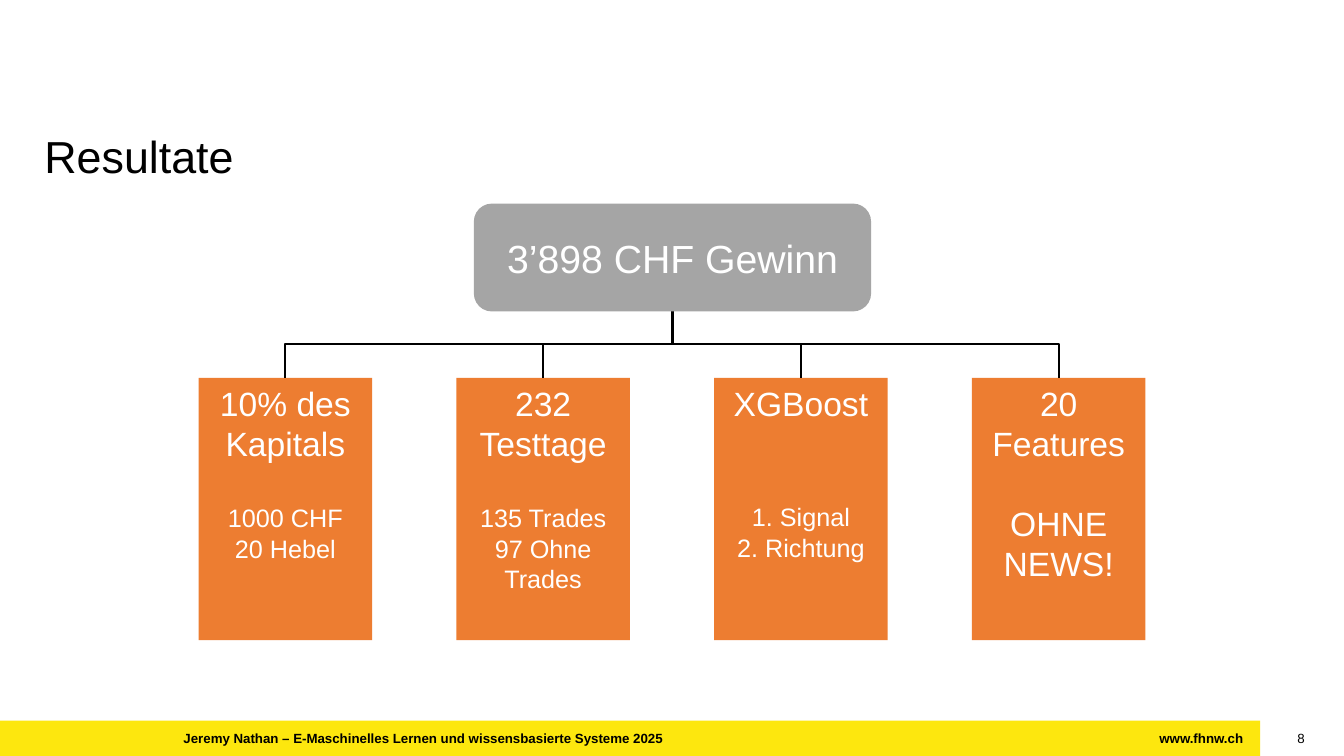
from dataclasses import dataclass

import pptx
import pptx.dml.color
import pptx.enum.shapes
import pptx.enum.text
import pptx.oxml
import pptx.oxml.ns
import pptx.util
from pptx.util import Inches

ALIGN = pptx.enum.text.PP_ALIGN
ANCHOR = pptx.enum.text.MSO_ANCHOR
SHAPE = pptx.enum.shapes.MSO_SHAPE

BLACK, WHITE = "000000", "FFFFFF"
YELLOW, ORANGE, GRAY = "FDE70E", "ED7D31", "A5A5A5"

CARD_TOP, CARD_WIDTH, CARD_HEIGHT = 3.75, 1.72, 2.6
FIRST_CARD_LEFT, LAST_CARD_LEFT = 1.97, 9.64
ROOT_CENTER, ROOT_BOTTOM = 6.67, 3.08


@dataclass
class Line:
    text: str
    size: float
    color: str = WHITE
    bold: bool = False
    align: ALIGN = ALIGN.CENTER
    space_before: float = 0


@dataclass
class Box:
    left: float
    top: float
    width: float
    height: float


@dataclass
class Label:
    box: Box
    line: Line


@dataclass
class Card:
    heading: str
    details: list[str]
    detail_size: float = 18
    gap: float = 28


LABELS = [
    Label(Box(0.44, 1.28, 12.04, 0.54), Line("Resultate", 32, BLACK, align=ALIGN.LEFT)),
    Label(
        Box(1.82, 7.24, 8.86, 0.16),
        Line(
            "Jeremy Nathan – E-Maschinelles Lernen und wissensbasierte Systeme 2025",
            9.5, BLACK, True, ALIGN.LEFT,
        ),
    ),
    Label(Box(10.68, 7.24, 1.65, 0.16), Line("www.fhnw.ch", 9.5, BLACK, True, ALIGN.RIGHT)),
    Label(Box(12.53, 7.24, 0.41, 0.16), Line("8", 9.5, BLACK, align=ALIGN.RIGHT)),
]

CARDS = [
    Card("10% des Kapitals", ["1000 CHF", "20 Hebel"]),
    Card("232 Testtage", ["135 Trades", "97 Ohne Trades"]),
    Card("XGBoost", ["1. Signal", "2. Richtung"], gap=56),
    Card("20 Features", ["OHNE\vNEWS!"], detail_size=24),
]


def rgb(color: str) -> pptx.dml.color.RGBColor:
    return pptx.dml.color.RGBColor.from_string(color)


def apply(target: object, values: dict) -> None:
    for name, value in values.items():
        setattr(target, name, value)


def write_lines(text_frame, lines: list[Line]) -> None:
    text_frame.word_wrap = True
    for index, line in enumerate(lines):
        paragraph = text_frame.add_paragraph() if index else text_frame.paragraphs[0]
        paragraph.text = line.text
        paragraph.alignment = line.align
        if line.space_before:
            paragraph.space_before = pptx.util.Pt(line.space_before)
        for run in paragraph.runs:
            apply(run.font, {"name": "Arial", "size": pptx.util.Pt(line.size), "bold": line.bold})
            run.font.color.rgb = rgb(line.color)


def add_label(slide, label: Label) -> None:
    box = label.box
    shape = slide.shapes.add_textbox(
        Inches(box.left), Inches(box.top), Inches(box.width), Inches(box.height)
    )
    margins = ("margin_left", "margin_top", "margin_right", "margin_bottom")
    apply(shape.text_frame, dict.fromkeys(margins, 0))
    write_lines(shape.text_frame, [label.line])


def add_block(slide, kind: SHAPE, box: Box, fill: str, lines: list[Line], anchor=ANCHOR.TOP) -> None:
    shape = slide.shapes.add_shape(
        kind, Inches(box.left), Inches(box.top), Inches(box.width), Inches(box.height)
    )
    shape.shadow.inherit = False
    shape.fill.solid()
    shape.fill.fore_color.rgb = rgb(fill)
    shape.line.fill.background()
    shape.text_frame.vertical_anchor = anchor
    write_lines(shape.text_frame, lines)


def add_branch(slide, card_center: float) -> None:
    rise = CARD_TOP - ROOT_BOTTOM
    run = abs(ROOT_CENTER - card_center)
    middle_x = (card_center + ROOT_CENTER) / 2
    middle_y = (CARD_TOP + ROOT_BOTTOM) / 2
    on_left = card_center < ROOT_CENTER
    half_width = rise / 2 if on_left else -rise / 2
    connector = slide.shapes.add_connector(
        pptx.enum.shapes.MSO_CONNECTOR.ELBOW,
        Inches(middle_x + half_width), Inches(middle_y + run / 2),
        Inches(middle_x - half_width), Inches(middle_y - run / 2),
    )
    connector.line.color.rgb = rgb(BLACK)
    connector.line.width = pptx.util.Pt(1.5)
    properties = connector._element.spPr
    properties.xfrm.set("rot", str((90 if on_left else 270) * 60000))
    properties.append(pptx.oxml.parse_xml(f"<a:effectLst {pptx.oxml.ns.nsdecls('a')}/>"))


def add_card(slide, card: Card, left: float) -> None:
    lines = [Line(card.heading, 24)]
    for index, detail in enumerate(card.details):
        lines.append(Line(detail, card.detail_size, space_before=0 if index else card.gap))
    add_block(slide, SHAPE.RECTANGLE, Box(left, CARD_TOP, CARD_WIDTH, CARD_HEIGHT), ORANGE, lines)


def main() -> None:
    presentation = pptx.Presentation()
    apply(presentation, {"slide_width": Inches(13.33), "slide_height": Inches(7.5)})
    slide = presentation.slides.add_slide(presentation.slide_layouts[6])

    add_block(slide, SHAPE.RECTANGLE, Box(0, 7.15, 12.5, 0.35), YELLOW, [])
    for label in LABELS:
        add_label(slide, label)

    pitch = (LAST_CARD_LEFT - FIRST_CARD_LEFT) / (len(CARDS) - 1)
    for index, card in enumerate(CARDS):
        left = FIRST_CARD_LEFT + index * pitch
        add_card(slide, card, left)
        add_branch(slide, left + CARD_WIDTH / 2)

    add_block(
        slide, SHAPE.ROUNDED_RECTANGLE, Box(4.7, 2.02, 3.94, 1.07), GRAY,
        [Line("3’898 CHF Gewinn", 28)], ANCHOR.MIDDLE,
    )
    presentation.save("out.pptx")


if __name__ == "__main__":
    main()
